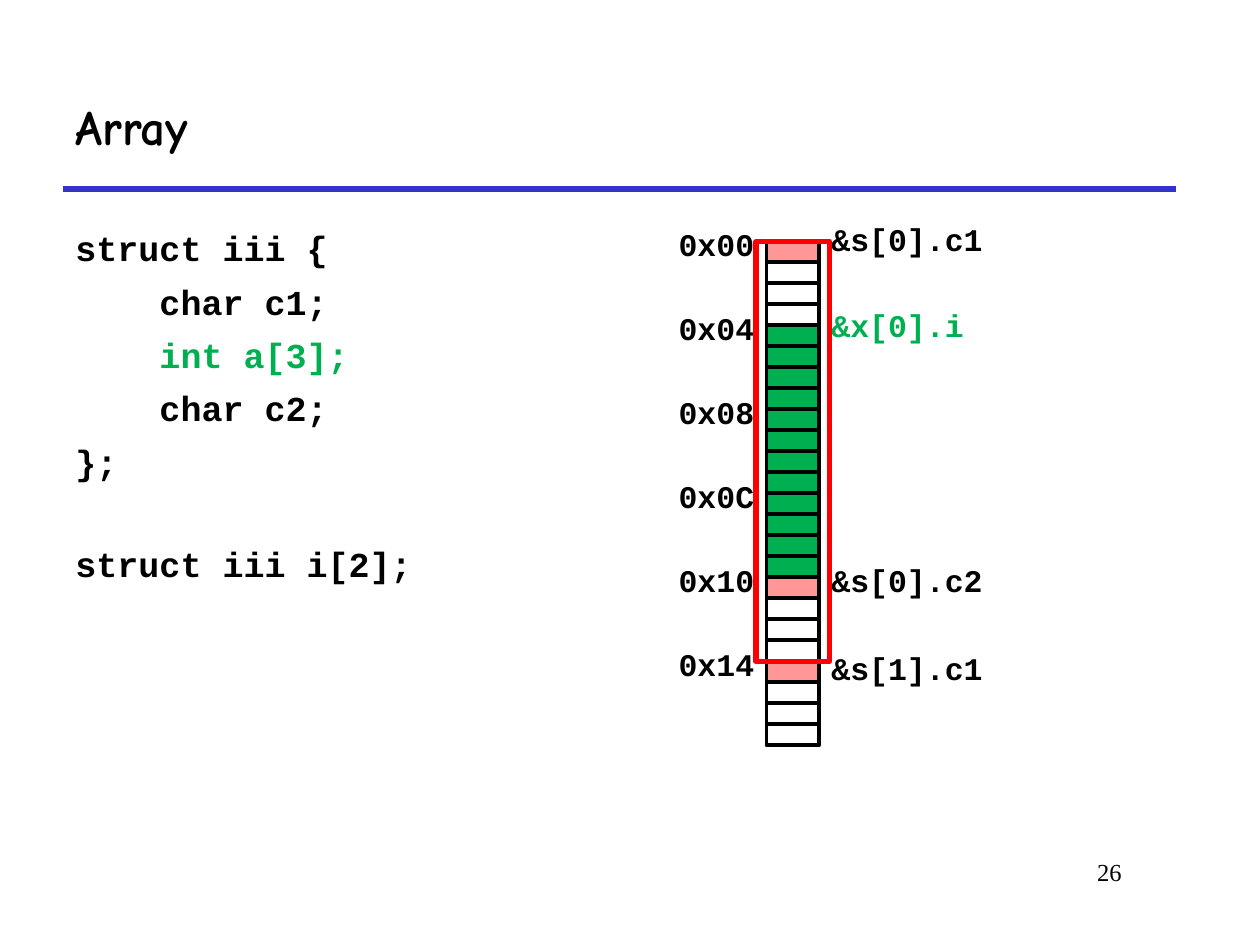
from pptx import Presentation
from pptx.dml.color import RGBColor
from pptx.enum.shapes import MSO_CONNECTOR, MSO_SHAPE
from pptx.enum.text import MSO_ANCHOR, PP_ALIGN
from pptx.oxml.ns import qn
from pptx.util import Pt
from lxml import etree

PX = 7620  # EMU in one px, 120 px to the inch

BLACK = RGBColor(0x00, 0x00, 0x00)
BLUE = RGBColor(0x33, 0x33, 0xCC)
GREEN = RGBColor(0x00, 0xB0, 0x50)
PINK = RGBColor(0xFF, 0x97, 0x97)
RED = RGBColor(0xFF, 0x00, 0x00)

RECTANGLE = MSO_SHAPE.RECTANGLE
STRAIGHT = MSO_CONNECTOR.STRAIGHT
LEFT, RIGHT = PP_ALIGN.LEFT, PP_ALIGN.RIGHT
TOP, MIDDLE = MSO_ANCHOR.TOP, MSO_ANCHOR.MIDDLE

CODE = "Courier New"
CODE_GAP = 6.5
BLOCK_GAP = 34.5

# text, colour, space before in points
CODE_LINES = [
    ("struct iii {", BLACK, 0),
    ("    char c1;", BLACK, CODE_GAP),
    ("    int a[3];", GREEN, CODE_GAP),
    ("    char c2;", BLACK, CODE_GAP),
    ("};", BLACK, CODE_GAP),
    ("struct iii i[2];", BLACK, BLOCK_GAP),
]

# One entry per byte of memory
BYTE_FILLS = ([PINK] + [None] * 3 + [GREEN] * 12) + ([PINK] + [None] * 3) * 2
STRUCT_BYTES = 20
ADDRESSES = ["0x00", "0x04", "0x08", "0x0C", "0x10", "0x14"]
WORD_BYTES = 4

# text, top relative to the memory column, colour
MEMBERS = [
    ("&s[0].c1", -26, BLACK),
    ("&x[0].i", 56, GREEN),
    ("&s[0].c2", 298, BLACK),
    ("&s[1].c1", 382, BLACK),
]


def emu(*lengths):
    return [length * PX for length in lengths]


def add_text(page, left, top, width, height, lines, font=CODE, size=18,
             bold=True, align=LEFT, anchor=TOP):
    """Add a text box; lines holds (text, colour, space before in points)."""
    box = page.shapes.add_textbox(*emu(left, top, width, height))
    frame = box.text_frame
    frame.word_wrap = True
    frame.vertical_anchor = anchor
    for index, (text, color, gap) in enumerate(lines):
        para = frame.add_paragraph() if index else frame.paragraphs[0]
        para.alignment = align
        if gap:
            para.space_before = Pt(gap)
        span = para.add_run()
        span.text = text
        span.font.name = font
        span.font.size = Pt(size)
        span.font.bold = bold
        span.font.color.rgb = color
    return box


def add_box(page, left, top, width, height, fill=None, line=BLACK, weight=2.25):
    box = page.shapes.add_shape(RECTANGLE, *emu(left, top, width, height))
    box.shadow.inherit = False
    if fill is None:
        box.fill.background()
    else:
        box.fill.solid()
        box.fill.fore_color.rgb = fill
    box.line.color.rgb = line
    box.line.width = Pt(weight)


def add_header(page, left, top, width, height):
    rule = page.shapes.add_connector(
        STRAIGHT, *emu(left, top + height, left + width, top + height))
    rule.line.color.rgb = BLUE
    rule.line.width = Pt(3)
    etree.SubElement(rule._element.spPr, qn("a:effectLst"))
    add_text(page, left, top, width, height, [("Array", BLACK, 0)],
             font="Comic Neue", size=28, anchor=MIDDLE)


def add_memory(page, left, top, width, cell_height):
    """Draw the byte column with addresses on its left, members on its right."""
    for index, fill in enumerate(BYTE_FILLS):
        add_box(page, left, top + index * cell_height, width, cell_height, fill)
    for index, address in enumerate(ADDRESSES):
        label_top = top - 22 + index * WORD_BYTES * cell_height
        add_text(page, left - 100, label_top, 100, 48,
                 [(address, BLACK, 0)], align=RIGHT)
    for text, offset, color in MEMBERS:
        add_text(page, left + width, top + offset, 180, 48, [(text, color, 0)])
    add_box(page, left - 10, top, width + 20, STRUCT_BYTES * cell_height,
            line=RED, weight=3)


def main():
    deck = Presentation()
    deck.slide_width, deck.slide_height = emu(1200, 900)
    page = deck.slides.add_slide(deck.slide_layouts[6])
    add_header(page, 60, 60, 1060, 120)
    add_text(page, 60, 210, 400, 510, CODE_LINES, size=20)
    add_memory(page, 730, 230, 50, 20)
    add_text(page, 910, 810, 170, 60, [("26", BLACK, 0)],
             font="Times New Roman", size=14, bold=False, align=RIGHT)
    deck.save("out.pptx")


if __name__ == "__main__":
    main()
